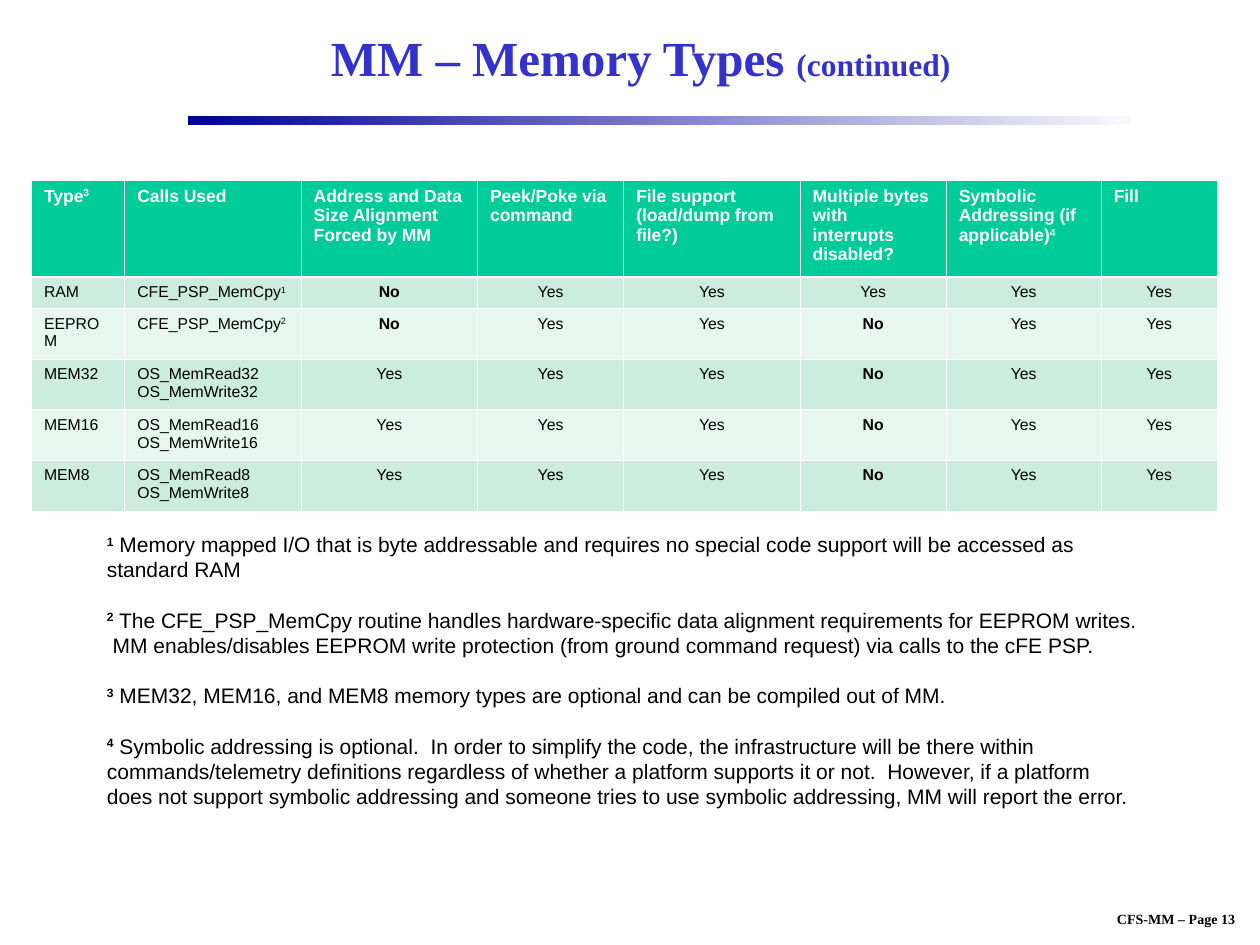
from lxml import etree
from pptx import Presentation
from pptx import util as u
from pptx.dml.color import RGBColor
from pptx.enum import shapes, text
from pptx.oxml.ns import qn

WIDTH, HEIGHT = 10, 7.5
COLORS = {
    "title": "3333CC", "bar_start": "000099", "bar_end": "F9F9FD",
    "header": "00CC99", "band_dark": "CBECDE", "band_light": "E7F6EF",
    "white": "FFFFFF", "black": "000000",
}
COLUMN_WIDTHS = [0.74, 1.4, 1.4, 1.16, 1.4, 1.16, 1.23, 0.92]
ROW_HEIGHTS = [0.77, 0.25, 0.25, 0.4, 0.4, 0.4]
THIN, THICK = 0.45, 1.47

# A cell is a list of paragraphs; "^" separates text from its superscript.
HEADERS = ["Type^3", "Calls Used", "Address and Data Size Alignment Forced by MM",
           "Peek/Poke via command", "File support (load/dump from file?)",
           "Multiple bytes with interrupts disabled?",
           "Symbolic Addressing (if applicable)^4", "Fill"]
MEMORY_TYPES = [
    ("RAM", ["CFE_PSP_MemCpy^1"], "No", "Yes"),
    ("EEPROM", ["CFE_PSP_MemCpy^2"], "No", "No"),
] + [(f"MEM{bits}", [f"OS_MemRead{bits}", f"OS_MemWrite{bits}"], "Yes", "No")
     for bits in (32, 16, 8)]
NOTES = [
    "Memory mapped I/O that is byte addressable and requires no special code support "
    "will be accessed as standard RAM",
    "The CFE_PSP_MemCpy routine handles hardware-specific data alignment requirements "
    "for EEPROM writes.  MM enables/disables EEPROM write protection (from ground "
    "command request) via calls to the cFE PSP.",
    "MEM32, MEM16, and MEM8 memory types are optional and can be compiled out of MM.",
    "Symbolic addressing is optional.  In order to simplify the code, the infrastructure "
    "will be there within commands/telemetry definitions regardless of whether a platform "
    "supports it or not.  However, if a platform does not support symbolic addressing and "
    "someone tries to use symbolic addressing, MM will report the error.",
]


def rgb(name):
    return RGBColor.from_string(COLORS[name])


def add_run(paragraph, content, size=12, font="Arial", color="black", bold=False,
            superscript=False):
    run = paragraph.add_run()
    run.text = content
    run.font.size = u.Pt(size)
    run.font.name = font
    run.font.bold = bold
    run.font.color.rgb = rgb(color)
    if superscript:
        run.font._element.set("baseline", "30000")


def add_text_box(slide, left, top, width, height, wrap=True,
                 anchor=text.MSO_ANCHOR.TOP):
    box = slide.shapes.add_textbox(*map(u.Inches, (left, top, width, height)))
    box.text_frame.word_wrap = wrap
    box.text_frame.vertical_anchor = anchor
    return box.text_frame


def add_title(slide):
    frame = add_text_box(slide, 1.5, 0.08, 7.17, 0.75, anchor=text.MSO_ANCHOR.MIDDLE)
    paragraph = frame.paragraphs[0]
    paragraph.alignment = text.PP_ALIGN.CENTER
    for content, size in (("MM – Memory Types ", 28), ("(continued)", 18)):
        add_run(paragraph, content, size=size, font="Times New Roman",
                color="title", bold=True)


def add_gradient_bar(slide):
    bar = slide.shapes.add_shape(shapes.MSO_SHAPE.RECTANGLE,
                                 *map(u.Inches, (1.49, 0.92, 7.49, 0.07)))
    bar.shadow.inherit = False
    bar.line.fill.background()
    bar.fill.gradient()
    bar.fill.gradient_angle = 0
    for stop, name in zip(bar.fill.gradient_stops, ("bar_start", "bar_end")):
        stop.color.rgb = rgb(name)


def set_borders(cell, top, bottom):
    properties = cell._tc.get_or_add_tcPr()
    sides = (("L", THIN), ("R", THIN), ("T", top), ("B", bottom))
    for position, (side, points) in enumerate(sides):
        line = etree.Element(qn(f"a:ln{side}"), w=str(u.Pt(points)))
        fill = etree.SubElement(line, qn("a:solidFill"))
        etree.SubElement(fill, qn("a:srgbClr"), val=COLORS["white"])
        properties.insert(position, line)


def fill_cell(cell, lines, fill, centered=False, **style):
    cell.fill.solid()
    cell.fill.fore_color.rgb = rgb(fill)
    frame = cell.text_frame
    for index, line in enumerate(lines):
        paragraph = frame.add_paragraph() if index else frame.paragraphs[0]
        if centered:
            paragraph.alignment = text.PP_ALIGN.CENTER
        content, _, mark = line.partition("^")
        add_run(paragraph, content, **style)
        if mark:
            add_run(paragraph, mark, superscript=True, **style)


def add_memory_table(slide):
    frame = slide.shapes.add_table(
        len(ROW_HEIGHTS), len(COLUMN_WIDTHS), u.Inches(0.25), u.Inches(1.43),
        u.Inches(sum(COLUMN_WIDTHS)), u.Inches(sum(ROW_HEIGHTS)))
    table = frame.table
    for column, width in zip(table.columns, COLUMN_WIDTHS):
        column.width = u.Inches(width)
    for row, height in zip(table.rows, ROW_HEIGHTS):
        row.height = u.Inches(height)

    for column, header in enumerate(HEADERS):
        cell = table.cell(0, column)
        fill_cell(cell, [header], "header", size=10, color="white", bold=True)
        set_borders(cell, THIN, THICK)

    for row, (name, calls, aligned, uninterrupted) in enumerate(MEMORY_TYPES, 1):
        values = [[name], calls, [aligned], ["Yes"], ["Yes"], [uninterrupted],
                  ["Yes"], ["Yes"]]
        band = "band_dark" if row % 2 else "band_light"
        for column, lines in enumerate(values):
            cell = table.cell(row, column)
            fill_cell(cell, lines, band, centered=column > 1, size=9,
                      bold=lines == ["No"])
            set_borders(cell, THICK if row == 1 else THIN, THIN)


def add_notes(slide):
    line_height = u.Pt(14.4)
    frame = add_text_box(slide, 0.75, 4.17, 8.42, 2.3)
    for number, note in enumerate(NOTES, 1):
        paragraph = frame.paragraphs[0] if number == 1 else frame.add_paragraph()
        paragraph.line_spacing = line_height
        if number > 1:
            paragraph.space_before = line_height
        add_run(paragraph, str(number), bold=True, superscript=True)
        add_run(paragraph, f" {note}")


def add_footer(slide):
    frame = add_text_box(slide, 8.57, 7.18, 1.53, 0.23, wrap=False)
    paragraph = frame.paragraphs[0]
    paragraph.alignment = text.PP_ALIGN.CENTER
    add_run(paragraph, "CFS-MM – Page 13", size=8, font="Times New Roman", bold=True)


def main():
    presentation = Presentation()
    presentation.slide_width = u.Inches(WIDTH)
    presentation.slide_height = u.Inches(HEIGHT)
    slide = presentation.slides.add_slide(presentation.slide_layouts[6])
    add_footer(slide)
    add_gradient_bar(slide)
    add_title(slide)
    add_memory_table(slide)
    add_notes(slide)
    presentation.save("out.pptx")


if __name__ == "__main__":
    main()
